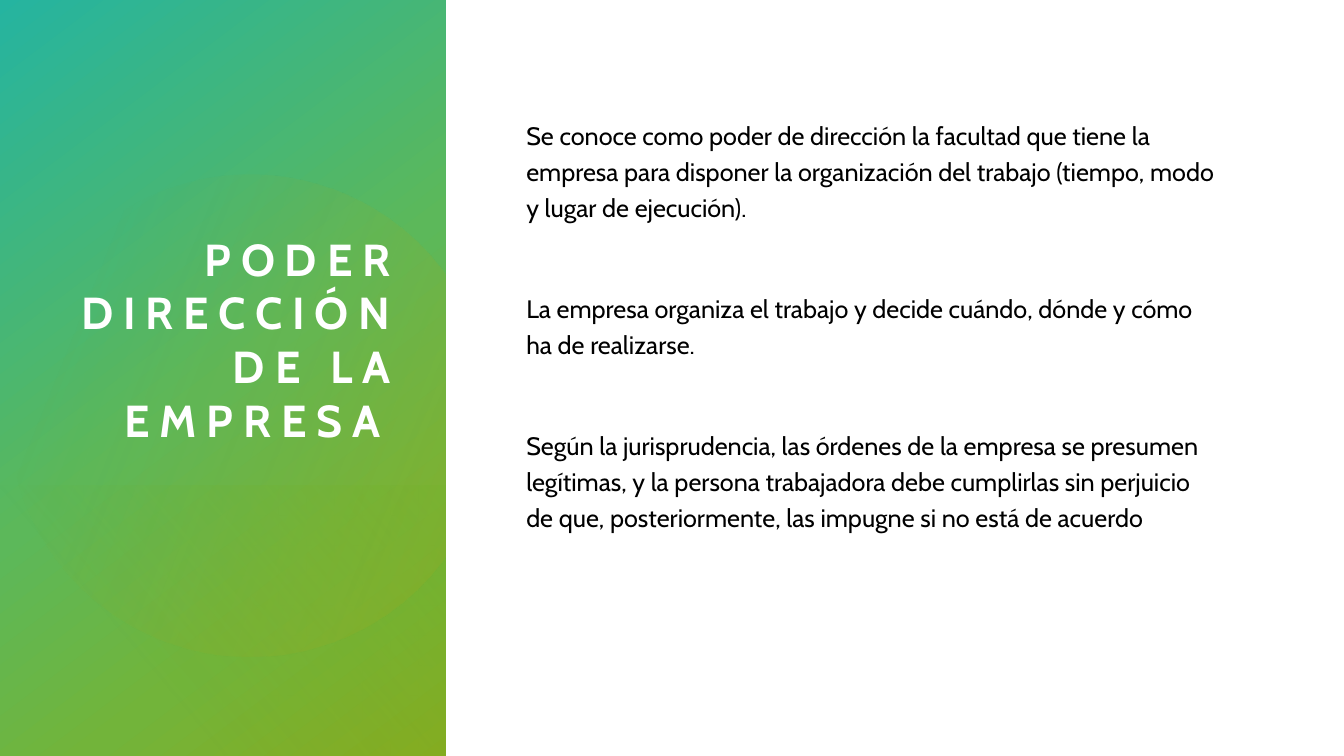
from math import acos, cos, pi, sin

from lxml.etree import SubElement
from pptx import Presentation
from pptx.dml.color import RGBColor
from pptx.enum.shapes import MSO_SHAPE
from pptx.enum.text import MSO_ANCHOR, PP_ALIGN
from pptx.oxml.ns import qn
from pptx.util import Inches, Pt

COLORS = {
    "teal": "25B4A0",
    "green": "5CB85A",
    "leaf": "6CB431",
    "lime": "72B43A",
    "moss": "8AAB1E",
    "olive": "9AAB23",
    "white": "FFFFFF",
    "black": "000000",
}
FONT = "Cabin"
PANEL_WIDTH = 4.42
TITLE = "PODER DIRECCIÓN DE LA EMPRESA "
BODY = [
    "Se conoce como poder de dirección la facultad que tiene la empresa para "
    "disponer la organización del trabajo (tiempo, modo y lugar de ejecución).",
    "La empresa organiza el trabajo y decide cuándo, dónde y cómo ha de realizarse.",
    "Según la jurisprudencia, las órdenes de la empresa se presumen legítimas, y la "
    "persona trabajadora debe cumplirlas sin perjuicio de que, posteriormente, las "
    "impugne si no está de acuerdo",
]


def set_gradient(sp, stops, angle):
    """Fill a shape with (position, colour, opacity) stops, angle clockwise."""
    sp.shadow.inherit = False
    sp.line.fill.background()
    sp.fill.gradient()
    grad = sp.fill._fill._gradFill
    for child in list(grad):
        grad.remove(child)
    stop_list = SubElement(grad, qn("a:gsLst"))
    for position, color, opacity in stops:
        stop = SubElement(stop_list, qn("a:gs"), pos=str(position * 1000))
        rgb = SubElement(stop, qn("a:srgbClr"), val=COLORS[color])
        if opacity < 100:
            SubElement(rgb, qn("a:alpha"), val=str(opacity * 1000))
    SubElement(grad, qn("a:lin"), ang=str(angle * 60000), scaled="0")


def add_gradient_rect(s, top, height, stops, angle):
    """Add a gradient rectangle as wide as the left panel."""
    sp = s.shapes.add_shape(
        MSO_SHAPE.RECTANGLE, 0, Inches(top), Inches(PANEL_WIDTH), Inches(height)
    )
    set_gradient(sp, stops, angle)


def add_clipped_circle(s, cx, cy, radius, stops, angle, steps=120):
    """Add a gradient circle cut off at the panel's right edge."""
    start = acos((PANEL_WIDTH - cx) / radius)
    sweep = 2 * (pi - start)
    angles = [start + sweep * i / steps for i in range(steps + 1)]
    points = [
        (Inches(cx + radius * cos(a)), Inches(cy + radius * sin(a))) for a in angles
    ]
    builder = s.shapes.build_freeform(*points[0])
    builder.add_line_segments(points[1:], close=True)
    set_gradient(builder.convert_to_shape(), stops, angle)


def add_text(s, box, paragraphs, size, color, anchor=MSO_ANCHOR.TOP):
    """Add a wrapped text box without margins and return its paragraphs."""
    tf = s.shapes.add_textbox(*map(Inches, box)).text_frame
    tf.word_wrap = True
    tf.vertical_anchor = anchor
    tf.margin_left = tf.margin_right = tf.margin_top = tf.margin_bottom = 0
    tf.text = "\n".join(paragraphs)
    for p in tf.paragraphs:
        p.font.name = FONT
        p.font.size = Pt(size)
        p.font.color.rgb = RGBColor.from_string(COLORS[color])
    return tf.paragraphs


def add_title(s):
    """Add the spaced, right-aligned title on the panel."""
    box = (0.42, 1.13, 3.55, 3.3)
    p = add_text(s, box, [TITLE], 32, "white", MSO_ANCHOR.BOTTOM)[0]
    p.alignment = PP_ALIGN.RIGHT
    p.font.bold = True
    p.runs[0].font._element.set("spc", "700")


def add_body(s):
    """Add the three explanatory paragraphs."""
    for i, p in enumerate(add_text(s, (5.22, 1.13, 6.86, 5.3), BODY, 18, "black")):
        p.line_spacing = 1.2
        p.space_before = Pt(46 if i else 0)


def main():
    """Build and save the slide."""
    prs = Presentation()
    prs.slide_width, prs.slide_height = Inches(13.33), Inches(7.5)
    s = prs.slides.add_slide(prs.slide_layouts[6])
    panel = [(0, "teal", 100), (50, "green", 100), (75, "lime", 100), (100, "moss", 100)]
    add_gradient_rect(s, 0, 7.5, panel, 53)
    add_gradient_rect(s, 4.82, 2.68, [(2, "leaf", 35), (67, "leaf", 0)], 140)
    add_clipped_circle(s, 2.48, 4.12, 2.39, [(20, "olive", 0), (100, "olive", 29)], 22)
    add_title(s)
    add_body(s)
    prs.save("out.pptx")


if __name__ == "__main__":
    main()
